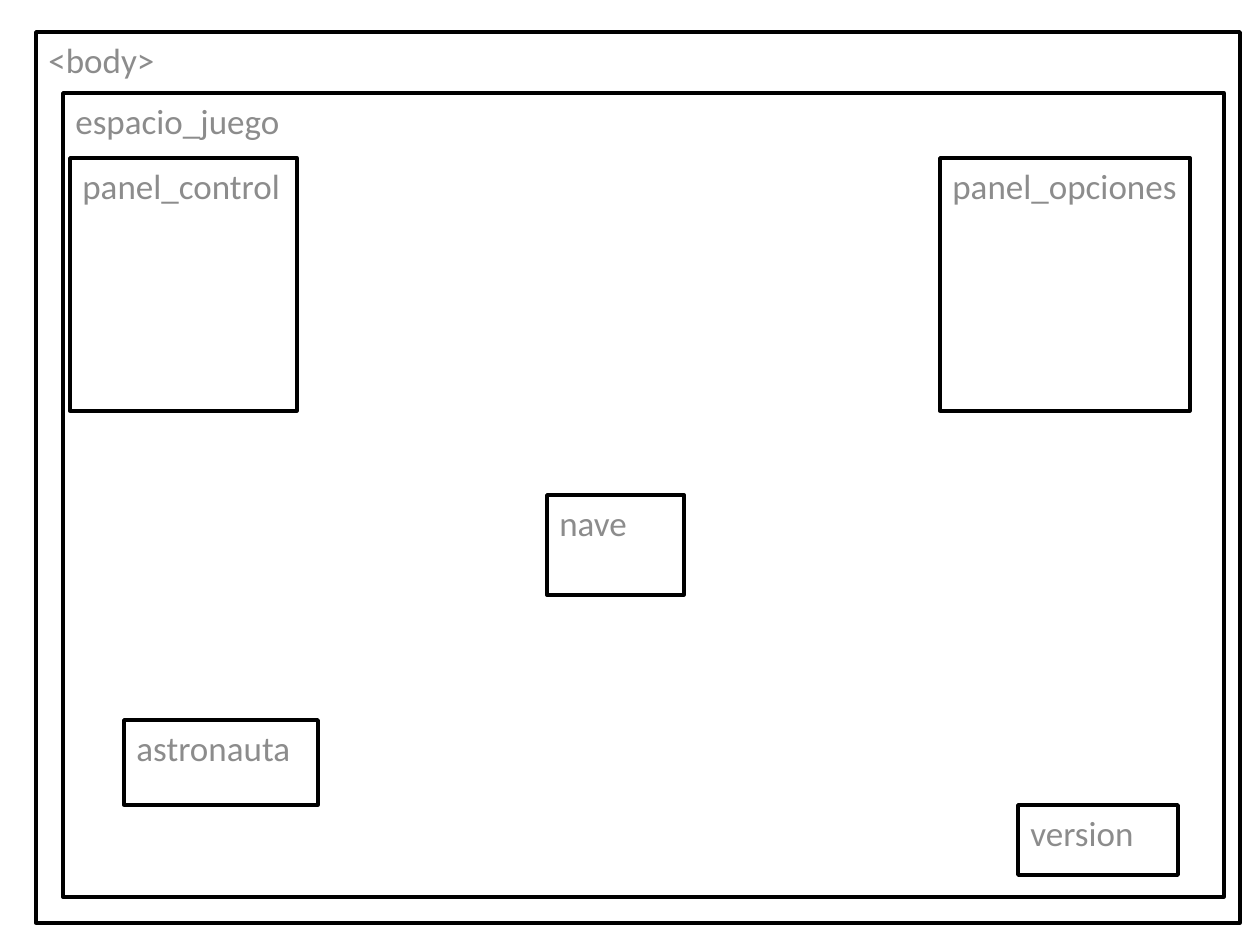
from pptx import Presentation
from pptx.dml.color import RGBColor
from pptx.enum.shapes import MSO_SHAPE
from pptx.enum.text import MSO_ANCHOR, PP_ALIGN
from pptx.util import Emu, Inches, Pt

PIXELS_PER_INCH = 126


def px(length):
    return Emu(round(length * Inches(1) / PIXELS_PER_INCH))


def color(hex_string):
    return RGBColor.from_string(hex_string)


presentation = Presentation()
presentation.slide_width = px(1260)
presentation.slide_height = px(945)
slide = presentation.slides.add_slide(presentation.slide_layouts[6])

# Page elements from outermost to innermost: label, left, top, width, height
PANEL_TOP, PANEL_HEIGHT = 158, 253
elements = [
    ("<body>", 36, 32, 1204, 891),
    ("espacio_juego", 63, 93, 1161, 804),
    ("version", 1018, 805, 160, 70),
    ("nave", 547, 495, 137, 100),
    ("panel_control", 70, PANEL_TOP, 227, PANEL_HEIGHT),
    ("panel_opciones", 940, PANEL_TOP, 250, PANEL_HEIGHT),
    ("astronauta", 124, 720, 194, 85),
]

for label, left, top, width, height in elements:
    # Outlined box
    shape = slide.shapes.add_shape(
        MSO_SHAPE.RECTANGLE, px(left), px(top), px(width), px(height))
    shape.shadow.inherit = False
    shape.fill.solid()
    shape.fill.fore_color.rgb = color("FFFFFF")
    shape.line.color.rgb = color("000000")
    shape.line.width = Pt(2)

    # Label in the top left corner
    text_frame = shape.text_frame
    text_frame.word_wrap = True
    text_frame.vertical_anchor = MSO_ANCHOR.TOP
    paragraph = text_frame.paragraphs[0]
    paragraph.text = label
    paragraph.alignment = PP_ALIGN.LEFT
    paragraph.space_before = Pt(1)
    paragraph.font.name = "Calibri"
    paragraph.font.size = Pt(20)
    paragraph.font.color.rgb = color("8C8C8C")

presentation.save("out.pptx")
